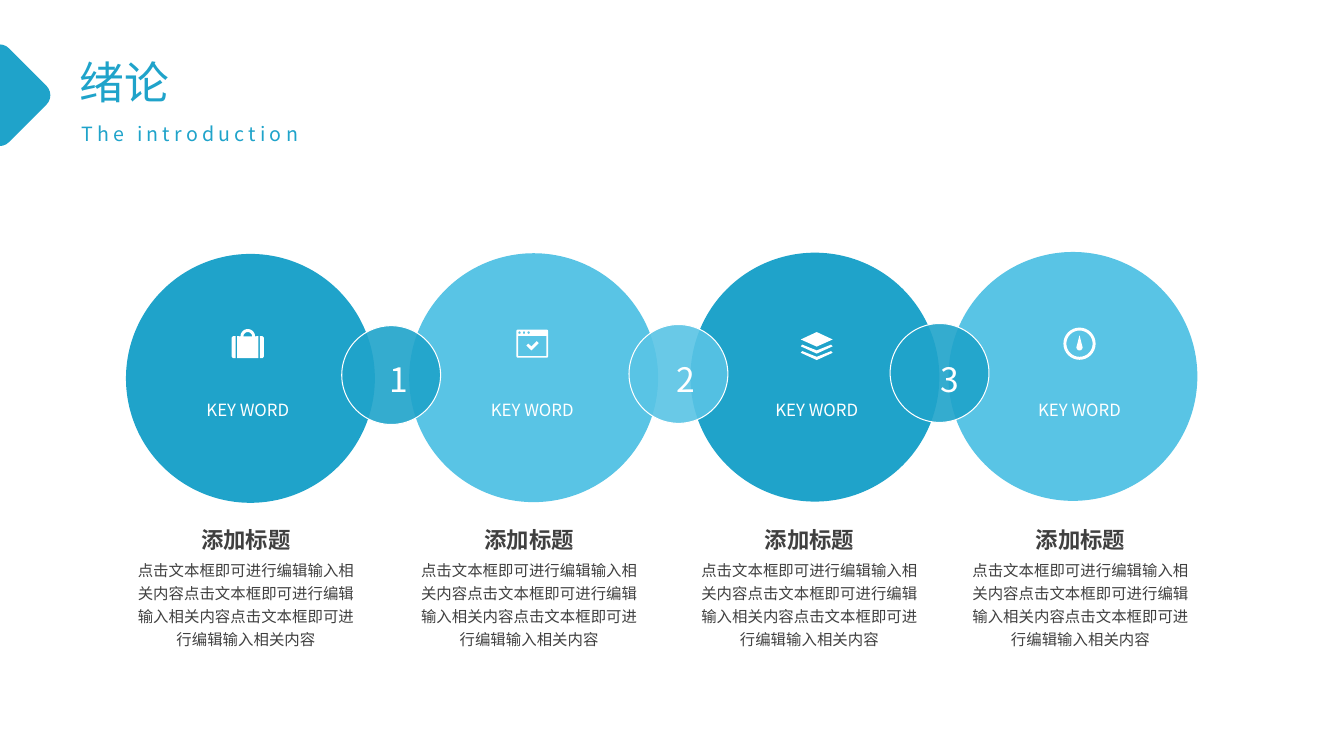
import math

import pptx
import pptx.dml.color
import pptx.enum.shapes
import pptx.enum.text
import pptx.oxml.ns
import pptx.util
from lxml import etree

Pt = pptx.util.Pt
SHAPE = pptx.enum.shapes.MSO_SHAPE
ALIGN = pptx.enum.text.PP_ALIGN
FONT = "Noto Sans CJK SC"
COLORS = {"deep": "1FA3CA", "light": "59C4E5", "white": "FFFFFF", "text": "404040"}
CIRCLE, BRIDGE = 177.8, 70.6
BODY = "点击文本框即可进行编辑输入相关内容" * 3


def rgb(name):
    return pptx.dml.color.RGBColor.from_string(COLORS[name])


def add_text(page, box, text, size, color, align=ALIGN.CENTER, spacing=1.25,
             bold=False, tracking=0, insets=(7.2, 3.6)):
    frame = page.shapes.add_textbox(*map(Pt, box)).text_frame
    frame.word_wrap = True
    frame.margin_left = frame.margin_right = Pt(insets[0])
    frame.margin_top = frame.margin_bottom = Pt(insets[1])
    frame.text = text
    para = frame.paragraphs[0]
    para.alignment = align
    para.line_spacing = spacing
    span = para.runs[0]
    span.font.size = Pt(size)
    span.font.bold = bold
    span.font.color.rgb = rgb(color)
    span.font.name = FONT
    properties = span.font._element
    if tracking:
        properties.set("spc", str(tracking * 100))
    etree.SubElement(properties, pptx.oxml.ns.qn("a:ea"), typeface=FONT)


def paint(shape, color, line=None, opacity=100):
    shape.shadow.inherit = False
    shape.fill.solid()
    shape.fill.fore_color.rgb = rgb(color)
    if opacity < 100:
        tint = shape._element.spPr.find(".//" + pptx.oxml.ns.qn("a:srgbClr"))
        etree.SubElement(tint, pptx.oxml.ns.qn("a:alpha"), val=str(opacity * 1000))
    if line:
        shape.line.color.rgb = rgb(line)
        shape.line.width = Pt(0.75)
    else:
        shape.line.fill.background()


# Icon outlines, in points from the icon's centre
def arc(x, y, radius, start=0, end=360, steps=32):
    angles = [math.radians(start + (end - start) * i / steps) for i in range(steps + 1)]
    return [(x + radius * math.cos(a), y + radius * math.sin(a)) for a in angles]


def rect(left, top, right, bottom):
    return [(left, top), (right, top), (right, bottom), (left, bottom)]


def mirror(outline):
    return [(-x, y) for x, y in outline]


def briefcase():
    side = [(-8.6, -5.4), (-8.6, 10.4), *arc(-9.9, 8.8, 1.6, 90, 180, 6),
            *arc(-9.9, -3.8, 1.6, 180, 270, 6)]
    body = [(-7.6, -5.4), *arc(0, -5.2, 5.2, 180, 360), (7.6, -5.4),
            (7.6, 10.4), (-7.6, 10.4)]
    return [side, mirror(side), body, arc(0, -5.2, 3.1, 180, 360)]


def window():
    frame = [*arc(-10.3, -9, 1, 180, 270, 6), *arc(10.3, -9, 1, 270, 360, 6),
             *arc(10.3, 9, 1, 0, 90, 6), *arc(-10.3, 9, 1, 90, 180, 6)]
    dots = [arc(x, -7.9, 0.9, steps=16) for x in (-9.1, -5.9, -2.6)]
    check = [(-4.2, 1.4), (-2.8, 0), (-0.6, 2), (3.2, -1.8), (4.6, -0.4), (-0.6, 4.8)]
    return [frame, *dots, rect(-10.1, -5.5, 10.1, 8.9), check]


def layers():
    top = [(-11.4, -3), (0, -8.3), (11.4, -3), (0, 2.1)]
    band = [(-11.4, 1.9), (-10.3, 0.7), (0, 4.8), (10.3, 0.7), (11.4, 1.9), (0, 7.1)]
    return [top, band, [(x, y + 4.6) for x, y in band]]


def compass():
    return [arc(0, 0, 11.5), arc(0, 0, 9.4), [(0, -6), *arc(0, 2.6, 2.2, 0, 180, 12)]]


def add_icon(page, x, y, outlines):
    placed = [[(Pt(x + dx), Pt(y + dy)) for dx, dy in outline] for outline in outlines]
    builder = page.shapes.build_freeform(*placed[0][0])
    builder.add_line_segments(placed[0][1:], close=True)
    for outline in placed[1:]:
        builder.move_to(*outline[0])
        builder.add_line_segments(outline[1:], close=True)
    paint(builder.convert_to_shape(), "white")


# Regions
def add_heading(page, left, top):
    marker = page.shapes.add_shape(SHAPE.ROUNDED_RECTANGLE, Pt(left - 78.5), Pt(top + 4.3),
                                   Pt(56.9), Pt(56.9))
    marker.rotation = 45
    paint(marker, "deep")
    add_text(page, (left, top, 270, 46), "绪论", 32, "deep", ALIGN.LEFT, 1)
    add_text(page, (left + 1.4, top + 39.6, 199.4, 29.5), "The introduction", 14, "deep",
             ALIGN.LEFT, 1.5, tracking=3)


def add_circle(page, left, top, color):
    paint(page.shapes.add_shape(SHAPE.OVAL, *map(Pt, (left, top, CIRCLE, CIRCLE))), color)


def add_bridge(page, left, top, color):
    bridge = page.shapes.add_shape(SHAPE.OVAL, *map(Pt, (left, top, BRIDGE, BRIDGE)))
    paint(bridge, color, "white", 90)


def add_step_text(page, label_center, text_center, outlines):
    add_icon(page, label_center, 245.5, outlines)
    add_text(page, (label_center - 53.3, 278.6, 106.6, 23.8), "KEY WORD", 12, "white")
    add_text(page, (text_center - 53.3, 367.2, 106.6, 31.7), "添加标题", 16, "text", bold=True)
    add_text(page, (text_center - 87.1, 393.8, 174.2, 72.7), BODY, 11, "text")


def main():
    deck = pptx.Presentation()
    deck.slide_width, deck.slide_height = Pt(960), Pt(540)
    page = deck.slides.add_slide(deck.slide_layouts[6])
    add_heading(page, 49.7, 35.3)

    # Circle left and top, label centre, text centre, colour, icon
    steps = [(90, 181.4, 177, 175.7, "deep", briefcase()),
             (292.3, 180.9, 380.2, 378, "light", window()),
             (493.2, 180.5, 583.4, 578.2, "deep", layers()),
             (677.5, 180, 771.1, 771.8, "light", compass())]
    # Bridge left and top, number left, colour
    bridges = [(244.1, 232.6, 264.2, "deep"),
               (449.3, 231.8, 468.7, "light"),
               (635.8, 231.1, 657.4, "deep")]

    for left, top, _, _, color, _ in steps:
        add_circle(page, left, top, color)
    for number, (left, top, number_left, color) in enumerate(bridges, 1):
        add_bridge(page, left, top, color)
        add_text(page, (number_left, 240.5, 31.7, 52.6), str(number), 24, "white",
                 spacing=1.3, insets=(14.4, 7.2))
    for _, _, label_center, text_center, _, outlines in steps:
        add_step_text(page, label_center, text_center, outlines)

    deck.save("out.pptx")


if __name__ == "__main__":
    main()
